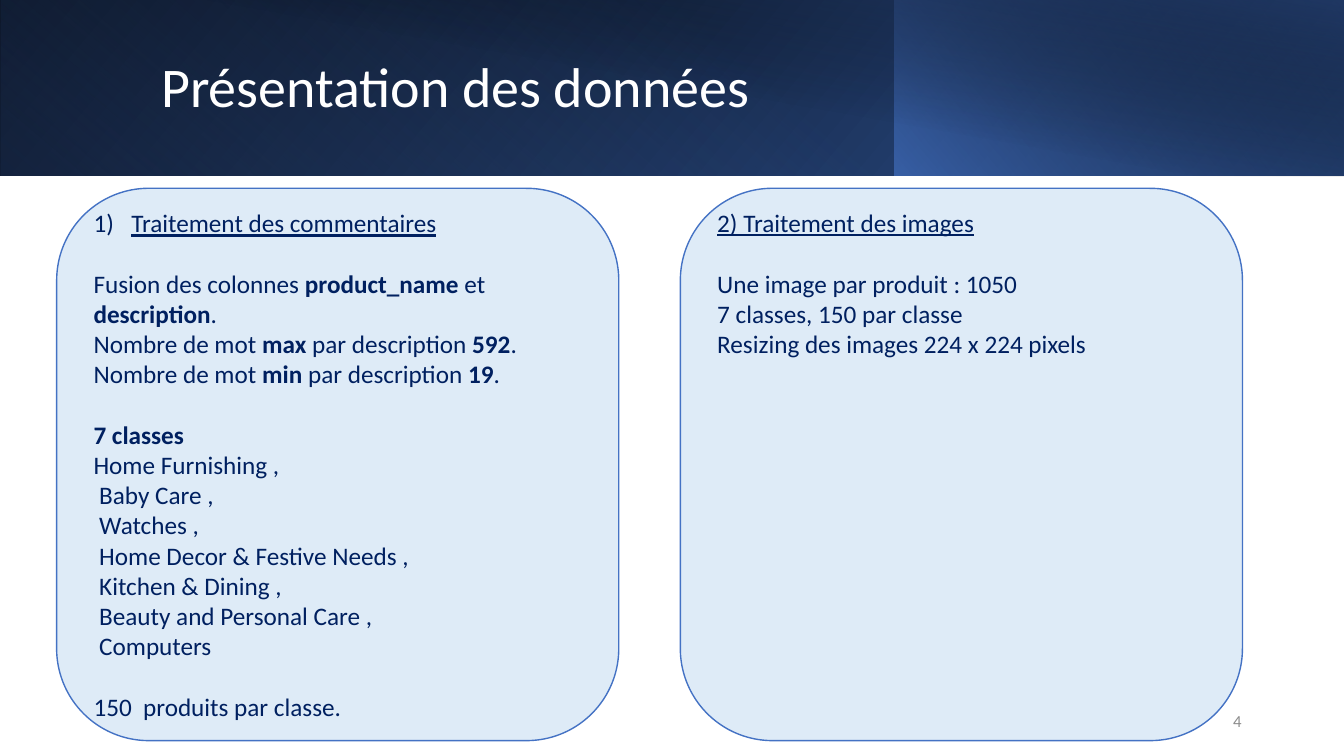
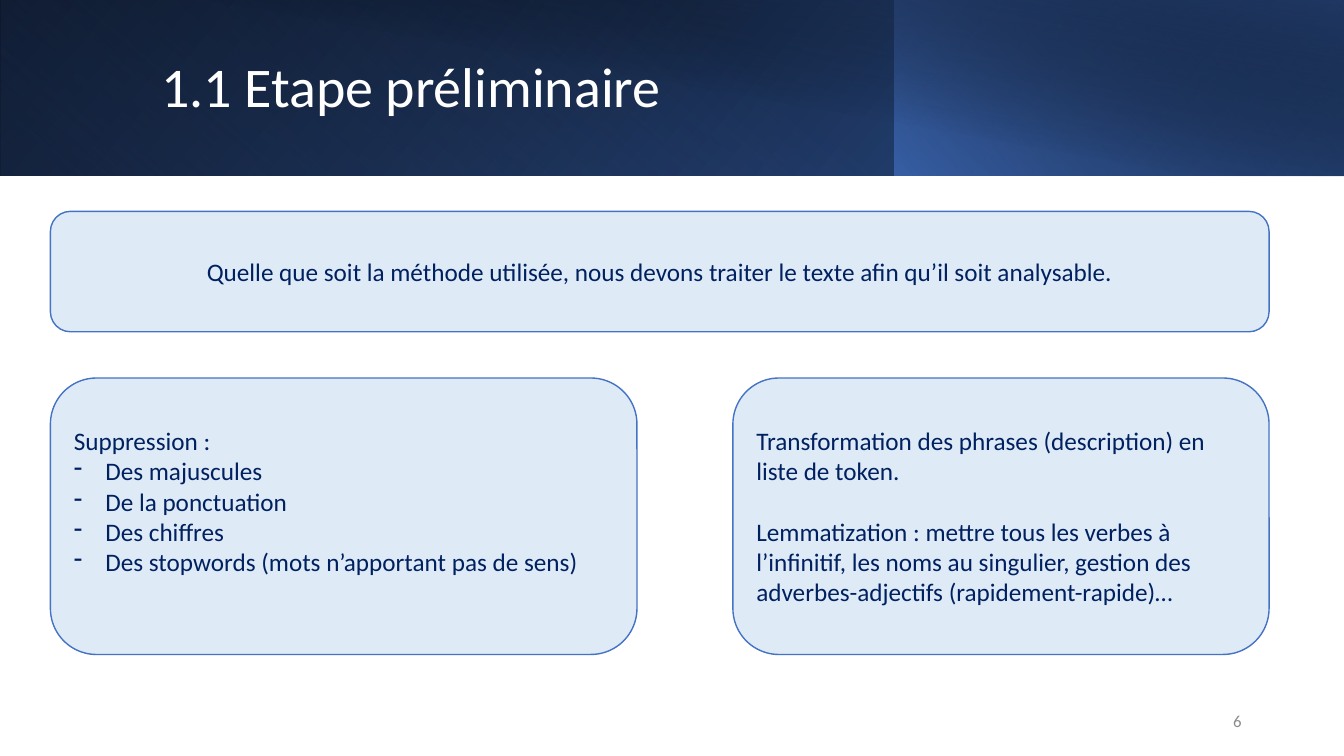
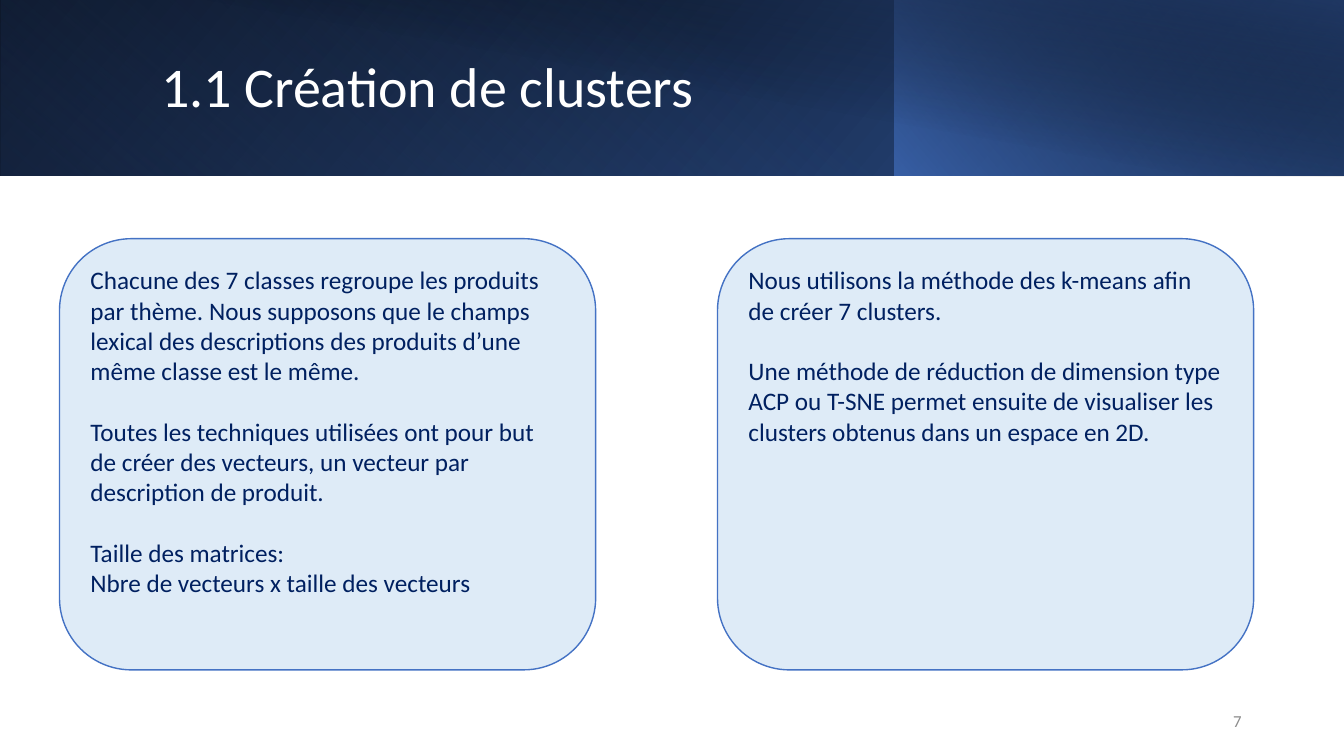
from dataclasses import dataclass

from pptx import Presentation
from pptx.dml.color import RGBColor
from pptx.enum.shapes import MSO_SHAPE
from pptx.enum.text import MSO_ANCHOR, PP_ALIGN
from pptx.oxml.ns import qn
from pptx.util import Pt
from lxml import etree

RECT, ROUNDED = MSO_SHAPE.RECTANGLE, MSO_SHAPE.ROUNDED_RECTANGLE
TOP, MIDDLE = MSO_ANCHOR.TOP, MSO_ANCHOR.MIDDLE
LEFT, CENTER, RIGHT = PP_ALIGN.LEFT, PP_ALIGN.CENTER, PP_ALIGN.RIGHT


@dataclass(frozen=True)
class Theme:
    font: str = "Calibri"
    title_size: float = 40
    body_size: float = 18
    number_size: float = 12
    line_height: float = 21.6
    inset: float = 3.6
    white: str = "FFFFFF"
    black: str = "000000"
    ink: str = "002060"
    panel: str = "DEEBF7"
    accent: str = "4472C4"
    band_blue: str = "2F5597"
    band_navy: str = "203864"
    number: str = "8C8C8C"


@dataclass(frozen=True)
class Box:
    x: float
    y: float
    w: float
    h: float

    def lengths(self):
        return Pt(self.x), Pt(self.y), Pt(self.w), Pt(self.h)


@dataclass(frozen=True)
class Line:
    """One paragraph; asterisks enclose bold words."""
    text: str
    gap: bool = False
    underline: bool = False
    bullet: str = ""
    indent: float = 0


THEME = Theme()
PAGE = Box(0, 0, 960, 540)
BAND = Box(0, 0, PAGE.w, 125.3)


def colour(code):
    return RGBColor.from_string(code)


def style_font(font, size, code):
    font.name, font.size = THEME.font, Pt(size)
    font.color.rgb = colour(code)


# Header band
def gradient_layer(slide, box, angle, stops, flip=True, rotation=0):
    """Stops are (position, colour, opacity), all in percent."""
    layer = slide.shapes.add_shape(RECT, *box.lengths())
    layer.shadow.inherit = False
    layer.line.fill.background()
    layer.rotation = rotation
    properties = layer._element.spPr
    if flip:
        properties.find(qn("a:xfrm")).set("flipH", "1")
    layer.fill.gradient()
    layer.fill.gradient_angle = 360 - angle
    for stop, (position, code, _) in zip(layer.fill.gradient_stops, stops):
        stop.position = position / 100
        stop.color.rgb = colour(code)
    for node, (_, _, opacity) in zip(properties.iter(qn("a:srgbClr")), stops):
        if opacity < 100:
            etree.SubElement(node, qn("a:alpha"), val=str(opacity * 1000))


def header_band(slide, box, title):
    t = THEME
    split = 639
    gradient_layer(slide, box, 140, [(0, t.black, 100), (100, t.band_blue, 100)])
    gradient_layer(slide, Box(box.x, box.y, split, box.h), 230,
                   [(20, t.accent, 0), (100, t.band_navy, 55)], rotation=180)
    gradient_layer(slide, Box(box.x + split, box.y, box.w - split, box.h), 220,
                   [(0, t.accent, 66), (100, t.black, 30)])
    gradient_layer(slide, Box(box.x + 36, box.y, box.w - 36, box.h + 0.7), 280,
                   [(50, t.black, 0), (99, t.band_navy, 52)], flip=False)
    label(slide, Box(box.x + 108, box.y + 23, 779, 81.4), title,
          t.title_size, t.white, LEFT, spacing=0.9)


# Title and page number text
def label(slide, box, text, size, code, align, spacing=1.0):
    frame = slide.shapes.add_textbox(*box.lengths()).text_frame
    frame.word_wrap = True
    frame.vertical_anchor = MIDDLE
    paragraph = frame.paragraphs[0]
    paragraph.text = text
    paragraph.alignment = align
    paragraph.line_spacing = spacing
    style_font(paragraph.font, size, code)


# Panel text
def add_bullet(paragraph, bullet, indent):
    properties = paragraph._p.get_or_add_pPr()
    properties.set("marL", str(Pt(indent)))
    properties.set("indent", str(-Pt(indent)))
    if bullet == "1)":
        etree.SubElement(properties, qn("a:buAutoNum"), type="arabicParenR")
    else:
        etree.SubElement(properties, qn("a:buChar"), char=bullet)


def write_line(paragraph, line, align):
    paragraph.alignment = align
    if line.gap:
        paragraph.space_before = Pt(THEME.line_height)
    if line.bullet:
        add_bullet(paragraph, line.bullet, line.indent)
    style_font(paragraph.font, THEME.body_size, THEME.ink)
    for index, part in enumerate(line.text.split("*")):
        if part:
            run = paragraph.add_run()
            run.text = part
            if index % 2:
                run.font.bold = True
            if line.underline:
                run.font.underline = True


def panel(slide, box, lines, align=LEFT, anchor=MIDDLE, free_lines=0):
    """Rounded panel; free_lines is the room kept below the text, in lines."""
    shape = slide.shapes.add_shape(ROUNDED, *box.lengths())
    shape.shadow.inherit = False
    shape.fill.solid()
    shape.fill.fore_color.rgb = colour(THEME.panel)
    shape.line.color.rgb = colour(THEME.accent)
    shape.line.width = Pt(1)
    frame = shape.text_frame
    frame.word_wrap = True
    frame.vertical_anchor = anchor
    frame.margin_bottom = Pt(THEME.inset + free_lines * THEME.line_height)
    for index, line in enumerate(lines):
        paragraph = frame.add_paragraph() if index else frame.paragraphs[0]
        write_line(paragraph, line, align)


def new_slide(deck, title, number):
    slide = deck.slides.add_slide(deck.slide_layouts[6])
    header_band(slide, BAND, title)
    label(slide, Box(678, 500.5, 216, 28.8), number,
          THEME.number_size, THEME.number, RIGHT)
    return slide


# Slides
def data_slide(deck):
    slide = new_slide(deck, "Présentation des données", "4")
    classes = ["Home Furnishing ,", " Baby Care ,", " Watches ,",
               " Home Decor & Festive Needs ,", " Kitchen & Dining ,",
               " Beauty and Personal Care ,", " Computers"]
    comments = [
        Line("Traitement des commentaires", underline=True, bullet="1)", indent=27),
        Line("Fusion des colonnes *product_name *et *description*.", gap=True),
        Line("Nombre de mot *max* par description *592*."),
        Line("Nombre de mot *min* par description *19*."),
        Line("*7 classes*", gap=True),
        *map(Line, classes),
        Line("150  produits par classe.", gap=True),
    ]
    images = [
        Line("2) Traitement des images", underline=True),
        Line("Une image par produit : 1050", gap=True),
        Line("7 classes, 150 par classe"),
        Line("Resizing des images 224 x 224 pixels"),
    ]
    panel(slide, Box(40.5, 134.5, 401.5, 394.5), comments)
    panel(slide, Box(486, 134.5, 401.5, 394.5), images, free_lines=12)


def preparation_slide(deck):
    slide = new_slide(deck, "1.1 Etape préliminaire", "6")
    removed = ["Des majuscules", "De la ponctuation", "Des chiffres",
               "Des stopwords (mots n’apportant pas de sens)"]
    removal = [Line("Suppression :"),
               *(Line(item, bullet="-", indent=22.5) for item in removed)]
    tokens = [
        Line("Transformation des phrases (description) en liste de token."),
        Line("Lemmatization : mettre tous les verbes à l’infinitif, les noms au "
             "singulier, gestion des adverbes-adjectifs (rapidement-rapide)…",
             gap=True),
    ]
    purpose = [Line("Quelle que soit la méthode utilisée, nous devons traiter le "
                    "texte afin qu’il soit analysable.")]
    panel(slide, Box(36, 151, 870.5, 86), purpose, align=CENTER)
    panel(slide, Box(36, 270, 419, 197.5), removal, free_lines=1)
    panel(slide, Box(523.5, 270, 383, 197.5), tokens)


def cluster_slide(deck):
    slide = new_slide(deck, "1.1 Création de clusters", "7")
    vectors = [
        Line("Chacune des 7 classes regroupe les produits par thème. Nous "
             "supposons que le champs lexical des descriptions des produits "
             "d’une même classe est le même."),
        Line("Toutes les techniques utilisées ont pour but de créer des "
             "vecteurs, un vecteur par description de produit.", gap=True),
        Line("Taille des matrices:", gap=True),
        Line("Nbre de vecteurs x taille des vecteurs"),
    ]
    method = [
        Line("Nous utilisons la méthode des k-means afin de créer 7 clusters."),
        Line("Une méthode de réduction de dimension type ACP ou T-SNE permet "
             "ensuite de visualiser les clusters obtenus dans un espace en 2D.",
             gap=True),
    ]
    for x, lines in ((42.5, vectors), (512.5, method)):
        panel(slide, Box(x, 170.5, 383, 308), lines, anchor=TOP)


def main():
    deck = Presentation()
    deck.slide_width, deck.slide_height = Pt(PAGE.w), Pt(PAGE.h)
    data_slide(deck)
    preparation_slide(deck)
    cluster_slide(deck)
    deck.save("out.pptx")


if __name__ == "__main__":
    main()
